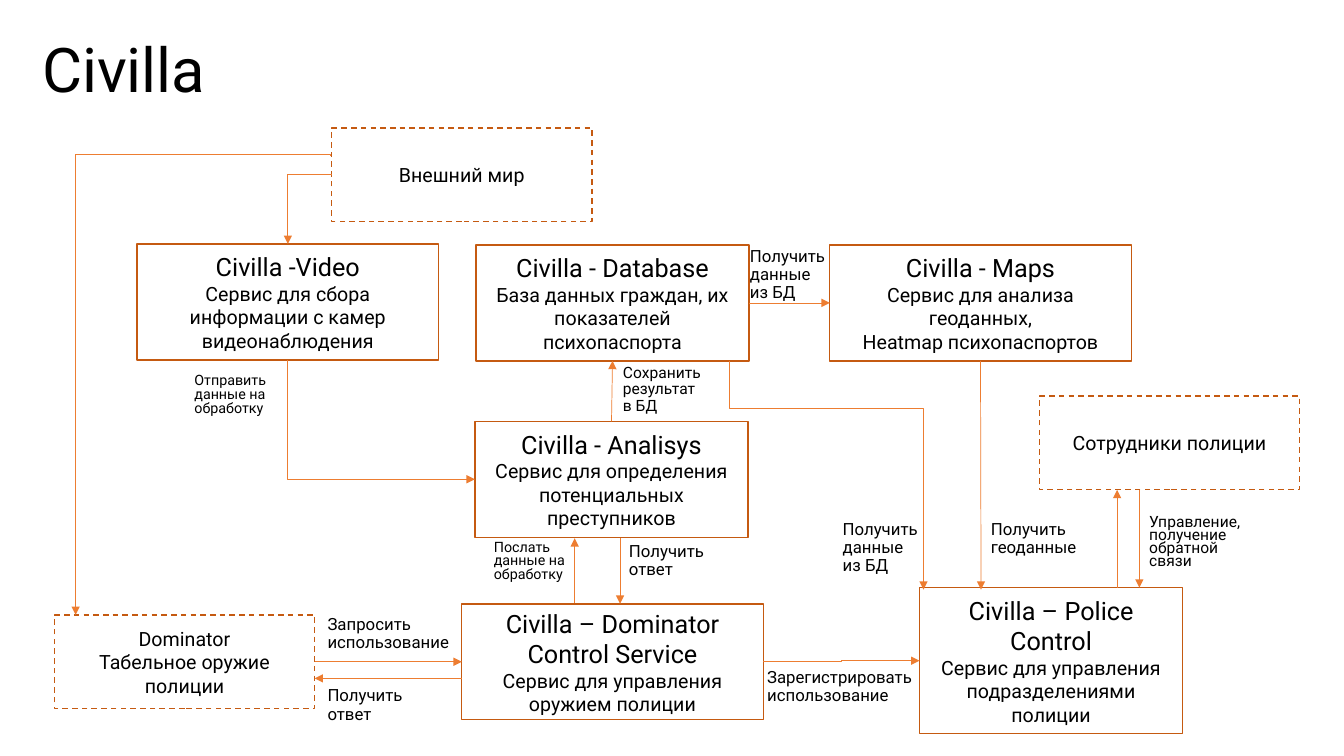
from dataclasses import dataclass

from lxml.etree import SubElement
from pptx import Presentation
from pptx.dml.color import RGBColor
from pptx.enum.dml import MSO_LINE
from pptx.enum.shapes import MSO_CONNECTOR, MSO_SHAPE
from pptx.enum.text import MSO_ANCHOR, PP_ALIGN
from pptx.oxml.ns import qn
from pptx.util import Emu, Pt

PX = 9144  # 100 px to the inch
TOP, LEFT, BOTTOM, RIGHT = range(4)


@dataclass(frozen=True)
class Theme:
    font: str = "Roboto"
    ink: RGBColor = RGBColor(0, 0, 0)
    border: RGBColor = RGBColor(0xC5, 0x5A, 0x11)
    arrow: RGBColor = RGBColor(0xED, 0x7D, 0x31)
    title: float = 44
    heading: float = 18
    body: float = 14
    label: float = 12
    label_small: float = 11.1
    label_tiny: float = 10.2
    border_width: float = 1
    arrow_width: float = 0.5


THEME = Theme()


def px(*lengths):
    return [Emu(length * PX) for length in lengths]


def write(frame, lines, align=PP_ALIGN.LEFT, anchor=MSO_ANCHOR.TOP, spacing=1.0, before=0):
    """Fill a text frame with (text, size) lines, one paragraph each."""
    frame.word_wrap = True
    frame.vertical_anchor = anchor
    for index, (text, size) in enumerate(lines):
        para = frame.paragraphs[0] if index == 0 else frame.add_paragraph()
        para.alignment = align
        para.line_spacing = spacing
        para.space_before = Pt(before)
        span = para.add_run()
        span.text = text
        span.font.name = THEME.font
        span.font.size = Pt(size)
        span.font.color.rgb = THEME.ink


class Diagram:
    def __init__(self, page, theme):
        self.shapes = page.shapes
        self.theme = theme

    def text(self, frame, content, size, **style):
        box = self.shapes.add_textbox(*px(*frame))
        write(box.text_frame, [(content, size)], **style)

    def box(self, frame, lines, dashed=False):
        box = self.shapes.add_shape(MSO_SHAPE.RECTANGLE, *px(*frame))
        box.shadow.inherit = False
        box.fill.background()
        box.line.color.rgb = self.theme.border
        box.line.width = Pt(self.theme.border_width)
        if dashed:
            box.line.dash_style = MSO_LINE.DASH
        write(box.text_frame, lines, align=PP_ALIGN.CENTER, anchor=MSO_ANCHOR.MIDDLE)
        return box

    def service(self, frame, name, *details):
        lines = [(name, self.theme.heading)]
        return self.box(frame, lines + [(detail, self.theme.body) for detail in details])

    def outsider(self, frame, *lines):
        return self.box(frame, [(line, self.theme.body) for line in lines], dashed=True)

    def arrow(self, begin, end, kind=MSO_CONNECTOR.STRAIGHT):
        """Each end is an (x, y) point or a (box, side) pair."""
        points = [spot if isinstance(spot[0], int) else (0, 0) for spot in (begin, end)]
        connector = self.shapes.add_connector(kind, *px(*points[0], *points[1]))
        for spot, join in ((begin, connector.begin_connect), (end, connector.end_connect)):
            if not isinstance(spot[0], int):
                join(*spot)
        connector.line.color.rgb = self.theme.arrow
        connector.line.width = Pt(self.theme.arrow_width)
        SubElement(connector.line._get_or_add_ln(), qn("a:tailEnd"), type="triangle")
        SubElement(connector._element.spPr, qn("a:effectLst"))
        return connector

    def elbow(self, begin, end, preset="bentConnector3", downward=False, bend=None):
        """Bent arrow; downward makes it leave vertically, bend is its turn in 1/1000."""
        connector = self.arrow(begin, end, MSO_CONNECTOR.ELBOW)
        properties = connector._element.spPr
        geometry = properties.find(qn("a:prstGeom"))
        geometry.set("prst", preset)
        if bend is not None:
            guides = geometry.find(qn("a:avLst"))
            if guides is None:
                guides = SubElement(geometry, qn("a:avLst"))
            SubElement(guides, qn("a:gd"), name="adj1", fmla=f"val {bend * 100}")
        if downward:
            self.turn_down(connector, properties.find(qn("a:xfrm")))

    def turn_down(self, connector, transform):
        """Rotate the frame a quarter turn about its centre, keeping both ends."""
        rightward = connector.end_x > connector.begin_x
        width, height = connector.width, connector.height
        connector.left += (width - height) // 2
        connector.top += (height - width) // 2
        connector.width, connector.height = height, width
        transform.set("rot", str((270 if rightward else 90) * 60000))
        transform.set("flipH", "1" if rightward else "0")
        transform.set("flipV", "0")


def main():
    deck = Presentation()
    deck.slide_width, deck.slide_height = px(1333, 750)
    page = deck.slides.add_slide(deck.slide_layouts[6])
    diagram = Diagram(page, THEME)

    diagram.text((32, -1, 1150, 145), "Civilla", THEME.title,
                 anchor=MSO_ANCHOR.MIDDLE, spacing=0.9)

    analysis = diagram.service((471, 418, 271, 115), "Civilla - Analisys",
                               "Сервис для определения потенциальных преступников")
    video = diagram.service((136, 242, 299, 115), "Civilla -Video",
                            "Сервис для сбора информации с камер видеонаблюдения")
    maps = diagram.service((823, 243, 299, 115), "Civilla - Maps",
                           "Сервис для анализа геоданных,", "Heatmap психопаспортов")
    control = diagram.service((458, 599, 299, 115), "Civilla – Dominator Control Service",
                              "Сервис для управления оружием полиции")
    database = diagram.service((472, 243, 271, 115), "Civilla - Database",
                               "База данных граждан, их показателей психопаспорта")
    police = diagram.service((912, 583, 261, 145), "Civilla – Police Control",
                             "Сервис для управления подразделениями полиции")
    weapon = diagram.outsider((54, 610, 258, 93), "Dominator", "Табельное оружие полиции")
    diagram.outsider((1031, 393, 258, 93), "Сотрудники полиции")
    world = diagram.outsider((329, 127, 258, 93), "Внешний мир")

    for begin, end in (
        ((maps, BOTTOM), (973, 585)),
        ((database, RIGHT), (maps, LEFT)),
        ((analysis, TOP), (database, BOTTOM)),
        ((weapon, RIGHT), (control, LEFT)),
        ((458, 673), (312, 673)),
        ((570, 598), (570, 534)),
        ((615, 534), (615, 599)),
        ((1108, 583), (1108, 486)),
        ((1130, 486), (1130, 583)),
    ):
        diagram.arrow(begin, end)

    diagram.elbow((video, BOTTOM), (analysis, LEFT), "bentConnector2", downward=True)
    diagram.elbow((world, LEFT), (video, TOP), "bentConnector2")
    diagram.elbow((control, RIGHT), (police, LEFT))
    diagram.elbow((723, 358), (916, 585), downward=True, bend=209)
    diagram.elbow((328, 155), (75, 610), downward=True, bend=-4)

    for content, frame, size, spacing in (
        ("Отправить данные на обработку", (183, 367, 97, 73), THEME.label_tiny, 0.8),
        ("Послать данные на обработку", (480, 532, 97, 73), THEME.label_tiny, 0.8),
        ("Сохранить результат в БД", (608, 357, 103, 73), THEME.label_small, 0.9),
        ("Управление, получение обратной связи", (1130, 508, 130, 66), THEME.label_small, 0.7),
        ("Запросить использование", (315, 606, 145, 73), THEME.label, 0.9),
        ("Получить ответ", (614, 534, 97, 73), THEME.label, 0.9),
        ("Получить ответ", (315, 677, 139, 73), THEME.label, 0.9),
        ("Получить данные из БД", (734, 241, 97, 73), THEME.label, 0.9),
        ("Получить данные из БД", (826, 512, 97, 73), THEME.label, 0.9),
        ("Получить геоданные", (973, 512, 113, 73), THEME.label, 0.9),
        ("Зарегистрировать использование", (751, 659, 215, 81), THEME.label, 0.9),
    ):
        diagram.text(frame, content, size, spacing=spacing, before=10)

    deck.save("out.pptx")


if __name__ == "__main__":
    main()
